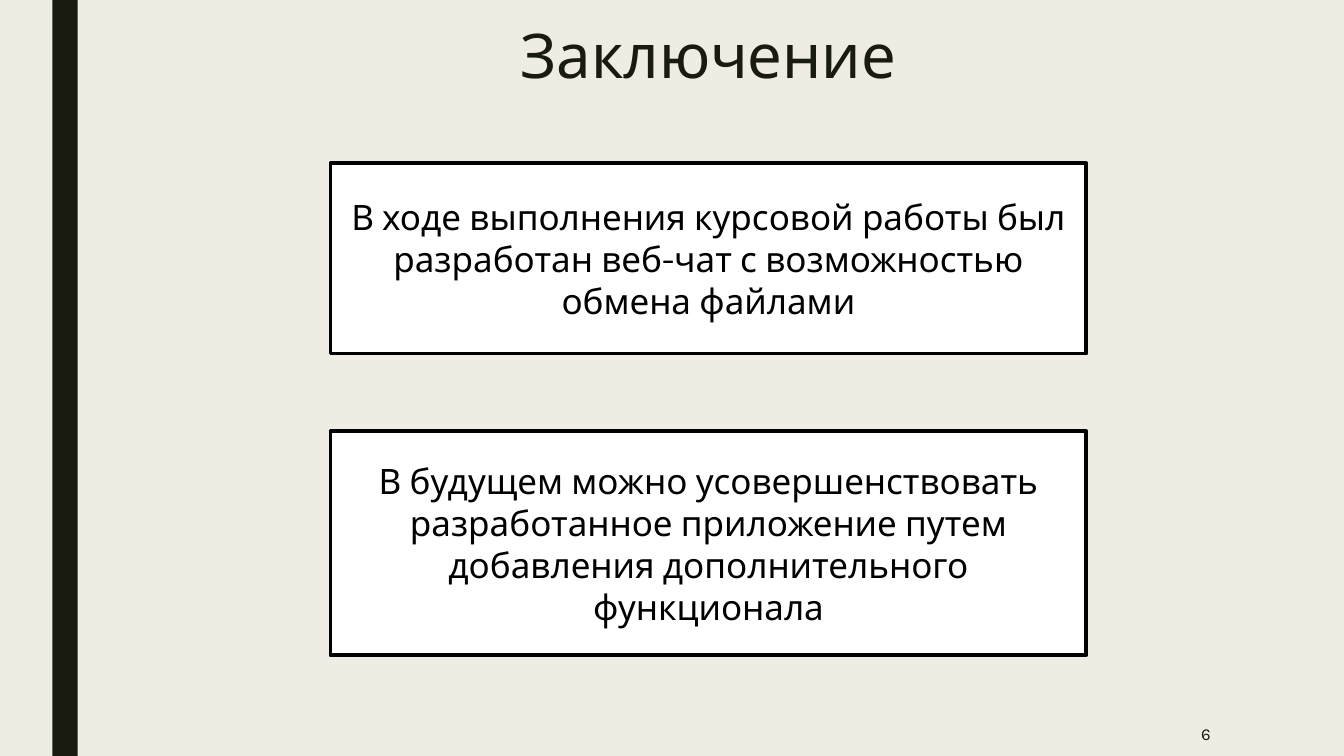
from dataclasses import dataclass

from pptx import Presentation
from pptx import util as u
from pptx.dml.color import RGBColor
from pptx.enum import shapes, text

FONT = "Karla"
DARK, CREAM, WHITE, BLACK = "191B0E", "EFEDE3", "FFFFFF", "000000"


@dataclass
class Box:
    """A rectangle or text box, in centimetres; text size in points."""
    left: float
    top: float
    width: float
    height: float
    words: str = ""
    size: float = 25
    color: str = BLACK
    align: text.PP_ALIGN = text.PP_ALIGN.CENTER
    anchor: text.MSO_ANCHOR = text.MSO_ANCHOR.MIDDLE
    spacing: float = 1.0
    fill: str = ""
    outline: str = ""


def rgb(value: str) -> RGBColor:
    return RGBColor.from_string(value)


def draw(s, box: Box) -> None:
    place = [u.Cm(v) for v in (box.left, box.top, box.width, box.height)]
    if box.fill:
        sp = s.shapes.add_shape(shapes.MSO_SHAPE.RECTANGLE, *place)
        sp.shadow.inherit = False
        sp.fill.solid()
        sp.fill.fore_color.rgb = rgb(box.fill)
        if box.outline:
            sp.line.color.rgb = rgb(box.outline)
            sp.line.width = u.Pt(2.75)
        else:
            sp.line.fill.background()
    else:
        sp = s.shapes.add_textbox(*place)
    if not box.words:
        return
    tf = sp.text_frame
    tf.word_wrap = True
    tf.vertical_anchor = box.anchor
    p = tf.paragraphs[0]
    p.text = box.words
    p.alignment = box.align
    p.line_spacing = box.spacing
    p.font.name = FONT
    p.font.size = u.Pt(box.size)
    p.font.color.rgb = rgb(box.color)


prs = Presentation()
prs.slide_width, prs.slide_height = u.Cm(33.87), u.Cm(19.05)
s = prs.slides.add_slide(prs.slide_layouts[6])
s.background.fill.solid()
s.background.fill.fore_color.rgb = rgb(CREAM)

# Side bar, title and page number
draw(s, Box(1.32, 0, 0.64, 19.05, fill=DARK))
draw(s, Box(4.52, 0.53, 26.67, 4.11, "Заключение", 44, DARK,
            anchor=text.MSO_ANCHOR.TOP, spacing=0.89))
draw(s, Box(26.31, 17.93, 4.45, 1.12, "6", 12, DARK, text.PP_ALIGN.RIGHT))

# Conclusions: top, height, wording
conclusions = [
    (4.11, 4.8, "В ходе выполнения курсовой работы был разработан "
                "веб-чат с возможностью обмена файлами"),
    (10.87, 5.64, "В будущем можно усовершенствовать разработанное "
                  "приложение путем добавления дополнительного функционала"),
]
for top, height, words in conclusions:
    draw(s, Box(8.33, top, 19.05, height, words, fill=WHITE, outline=BLACK))

prs.save("out.pptx")
